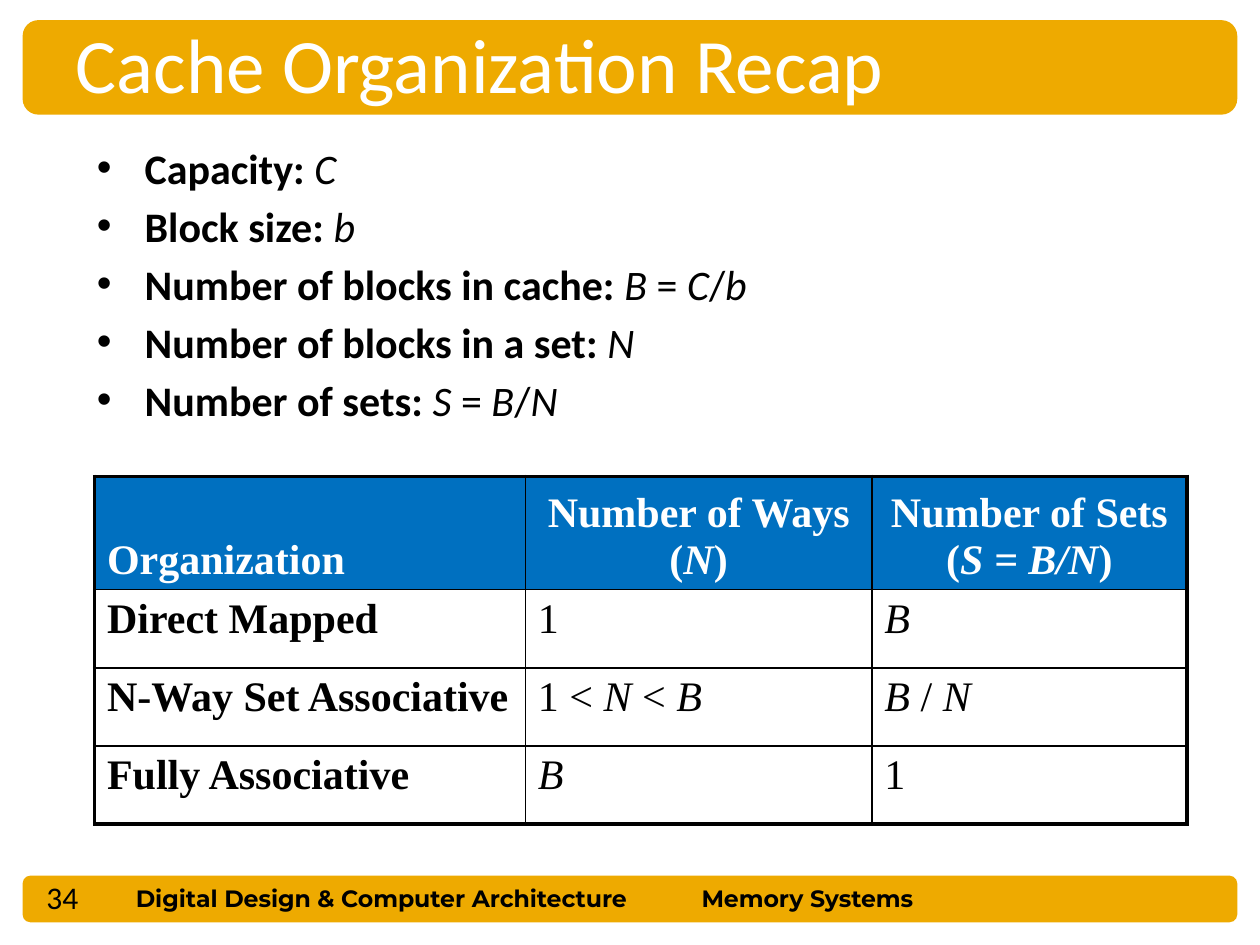
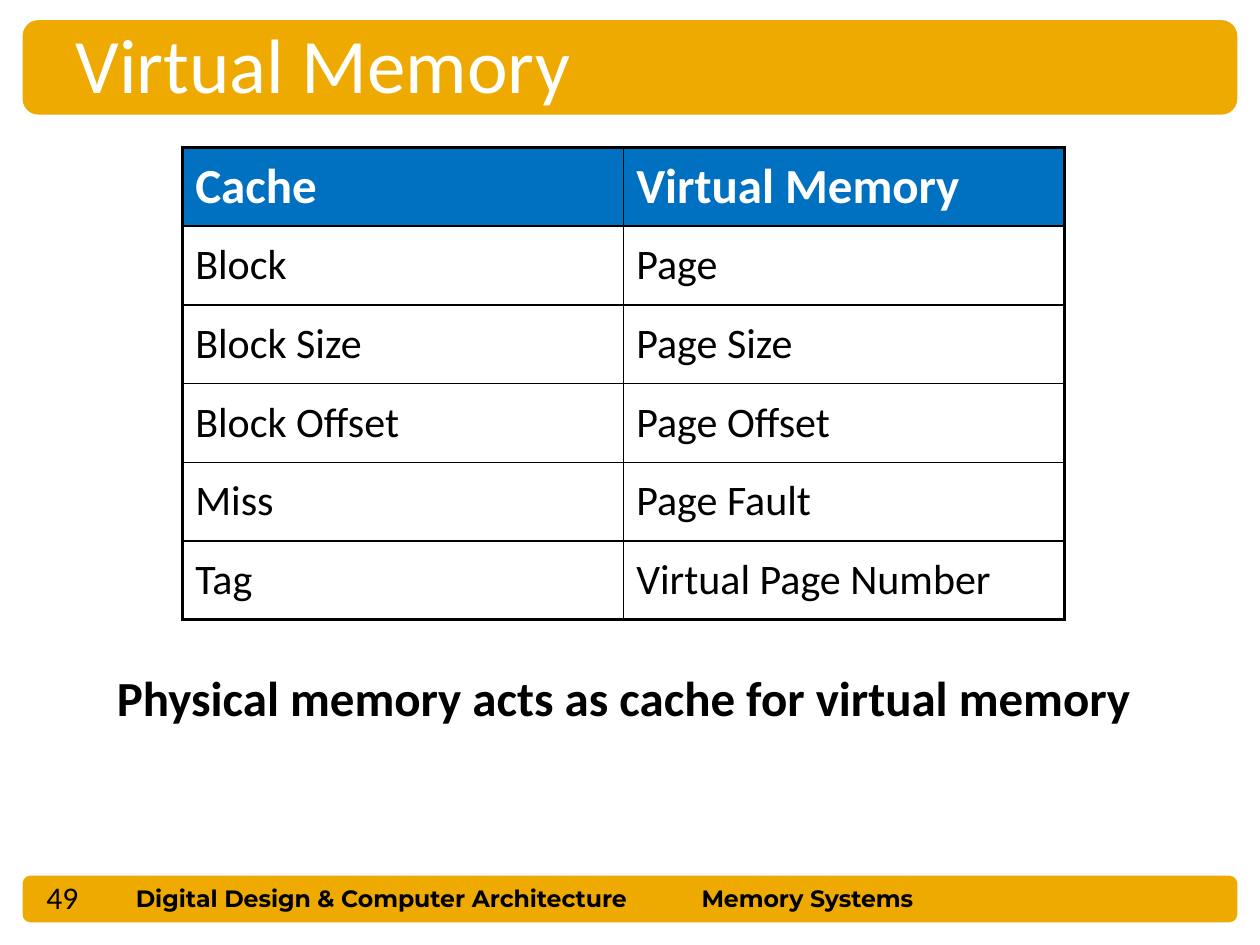
"""Build two slides on cache organization and virtual memory."""
from lxml.etree import SubElement
from pptx import Presentation
from pptx.dml.color import RGBColor
from pptx.enum.shapes import MSO_SHAPE
from pptx.enum.text import MSO_ANCHOR, PP_ALIGN
from pptx.oxml import parse_xml
from pptx.oxml.ns import nsdecls, qn
from pptx.util import Inches, Pt

COLORS = {"band": "EEAA00", "header": "0070C0", "text": "000000", "light": "FFFFFF"}
BODY_FONT = "Calibri"
OUTER_LINE, INNER_LINE = 2.25, 1

SLIDES = [
    {
        "title": "Cache Organization Recap",
        "title_width": 9.17,
        "number": "34",
        "at": (0.75, 3.78),
        "columns": [3.42, 2.75, 2.5],
        "row_height": 0.62,
        "header_height": 0.9,
        "font": "Times New Roman",
        "header_size": 24,
        "header_anchor": MSO_ANCHOR.BOTTOM,
        "header_align": PP_ALIGN.CENTER,
        "cell_anchor": MSO_ANCHOR.TOP,
        "bold_labels": True,
        "rows": [
            ["Organization", "Number of Ways (_N_)", "Number of Sets (_S = B/N_)"],
            ["Direct Mapped", "1", "_B_"],
            ["N-Way Set Associative", "1 < _N_ < _B_", "_B _/ _N_"],
            ["Fully Associative", "_B_", "1"],
        ],
    },
    {
        "title": "Virtual Memory",
        "title_width": 8.67,
        "number": "49",
        "at": (1.45, 1.17),
        "columns": [3.5, 3.5],
        "row_height": 3.75 / 6,
        "header_height": 3.75 / 6,
        "font": BODY_FONT,
        "header_size": 28,
        "header_anchor": MSO_ANCHOR.MIDDLE,
        "header_align": PP_ALIGN.LEFT,
        "cell_anchor": MSO_ANCHOR.MIDDLE,
        "bold_labels": False,
        "rows": [
            ["Cache", "Virtual Memory"],
            ["Block", "Page"],
            ["Block Size", "Page Size"],
            ["Block Offset", "Page Offset"],
            ["Miss", "Page Fault"],
            ["Tag", "Virtual Page Number"],
        ],
    },
]

DEFINITIONS = [
    ("Capacity: ", "_C_"),
    ("Block size: ", "_b_"),
    ("Number of blocks in cache: ", "_B_ = _C_/_b_"),
    ("Number of blocks in a set: ", "_N_"),
    ("Number of sets: ", "_S_ = _B_/_N_"),
]


def write(para, text, size, font=BODY_FONT, color="text", bold=None):
    """Add text to a paragraph, with the parts between underscores in italics."""
    for index, part in enumerate(text.split("_")):
        if part:
            span = para.add_run()
            span.text = part
            if index % 2:
                span.font.italic = True
    para.font.name = font
    para.font.size = Pt(size)
    para.font.color.rgb = RGBColor.from_string(COLORS[color])
    if bold is not None:
        para.font.bold = bold


def add_box(page, left, top, width, height):
    """Add a wrapping text box and return its frame."""
    box = page.shapes.add_textbox(Inches(left), Inches(top), Inches(width), Inches(height))
    box.text_frame.word_wrap = True
    return box.text_frame


deck = Presentation()
deck.slide_width, deck.slide_height = Inches(10), Inches(7.5)
layout = deck.slide_layouts[5]
pages = [deck.slides.add_slide(layout) for _ in SLIDES]
recap, virtual = pages

for top, height in [(6.95, 0.37), (0.16, 0.75)]:
    band = recap.shapes.add_shape(
        MSO_SHAPE.ROUNDED_RECTANGLE, Inches(0.18), Inches(top), Inches(9.64), Inches(height)
    )
    band.shadow.inherit = False
    band.fill.solid()
    band.fill.fore_color.rgb = RGBColor.from_string(COLORS["band"])
    band.line.fill.background()
    layout.shapes.element.append(band.element)

for left, width, text in [
    (0.98, 4.44, "Digital Design & Computer Architecture"),
    (5.47, 2.94, "Memory Systems"),
]:
    footer = recap.shapes.add_textbox(Inches(left), Inches(6.97), Inches(width), Inches(0.33))
    footer.text_frame.word_wrap = True
    write(footer.text_frame.paragraphs[0], text, 13.5, "Montserrat", bold=True)
    layout.shapes.element.append(footer.element)

for page, content in zip(pages, SLIDES):
    title = page.shapes.title
    title.left, title.top = Inches(0.5), Inches(0.08)
    title.width, title.height = Inches(content["title_width"]), Inches(0.84)
    title.text_frame.vertical_anchor = MSO_ANCHOR.MIDDLE
    title_para = title.text_frame.paragraphs[0]
    title_para.alignment = PP_ALIGN.LEFT
    write(title_para, content["title"], 44, color="light")

    number = add_box(page, 0.27, 6.92, 0.82, 0.39)
    number.vertical_anchor = MSO_ANCHOR.MIDDLE
    write(number.paragraphs[0], content["number"], 18)

    rows, widths = content["rows"], content["columns"]
    left, top = content["at"]
    height = content["header_height"] + content["row_height"] * (len(rows) - 1)
    table = page.shapes.add_table(
        len(rows), len(widths), Inches(left), Inches(top), Inches(sum(widths)), Inches(height)
    ).table
    table.horz_banding = False
    for column, width in zip(table.columns, widths):
        column.width = Inches(width)
    for r, texts in enumerate(rows):
        is_header = r == 0
        table.rows[r].height = Inches(content["header_height" if is_header else "row_height"])
        for c, text in enumerate(texts):
            cell = table.cell(r, c)
            cell.vertical_anchor = content["header_anchor" if is_header else "cell_anchor"]
            cell.fill.solid()
            fill = COLORS["header" if is_header else "light"]
            cell.fill.fore_color.rgb = RGBColor.from_string(fill)
            para = cell.text_frame.paragraphs[0]
            if is_header and c > 0:
                para.alignment = content["header_align"]
            write(
                para,
                text,
                content["header_size"] if is_header else 24,
                content["font"],
                "light" if is_header else "text",
                is_header or (content["bold_labels"] and c == 0),
            )
            outer_sides = {
                "lnL": c == 0,
                "lnR": c == len(widths) - 1,
                "lnT": r == 0,
                "lnB": r == len(rows) - 1,
            }
            properties = cell._tc.get_or_add_tcPr()
            for position, (side, is_outer) in enumerate(outer_sides.items()):
                line_width = Pt(OUTER_LINE if is_outer else INNER_LINE)
                border = parse_xml(
                    f'<a:{side} {nsdecls("a")} w="{line_width}"><a:solidFill>'
                    f'<a:srgbClr val="{COLORS["text"]}"/></a:solidFill></a:{side}>'
                )
                properties.insert(position, border)

definitions = add_box(recap, 0.67, 1.08, 6.08, 5.42)
for index, (label, formula) in enumerate(DEFINITIONS):
    para = definitions.add_paragraph() if index else definitions.paragraphs[0]
    if index:
        para.space_before = Pt(4.3)
    properties = para._p.get_or_add_pPr()
    properties.set("marL", str(Inches(0.38)))
    properties.set("indent", str(Inches(-0.38)))
    SubElement(properties, qn("a:buFont"), typeface="Arial")
    SubElement(properties, qn("a:buChar"), char="•")
    span = para.add_run()
    span.text = label
    span.font.bold = True
    write(para, formula, 24)

summary = add_box(virtual, 0.83, 5.25, 8.83, 0.92)
write(summary.paragraphs[0], "Physical memory acts as cache for virtual memory", 28, bold=True)

deck.save("out.pptx")
